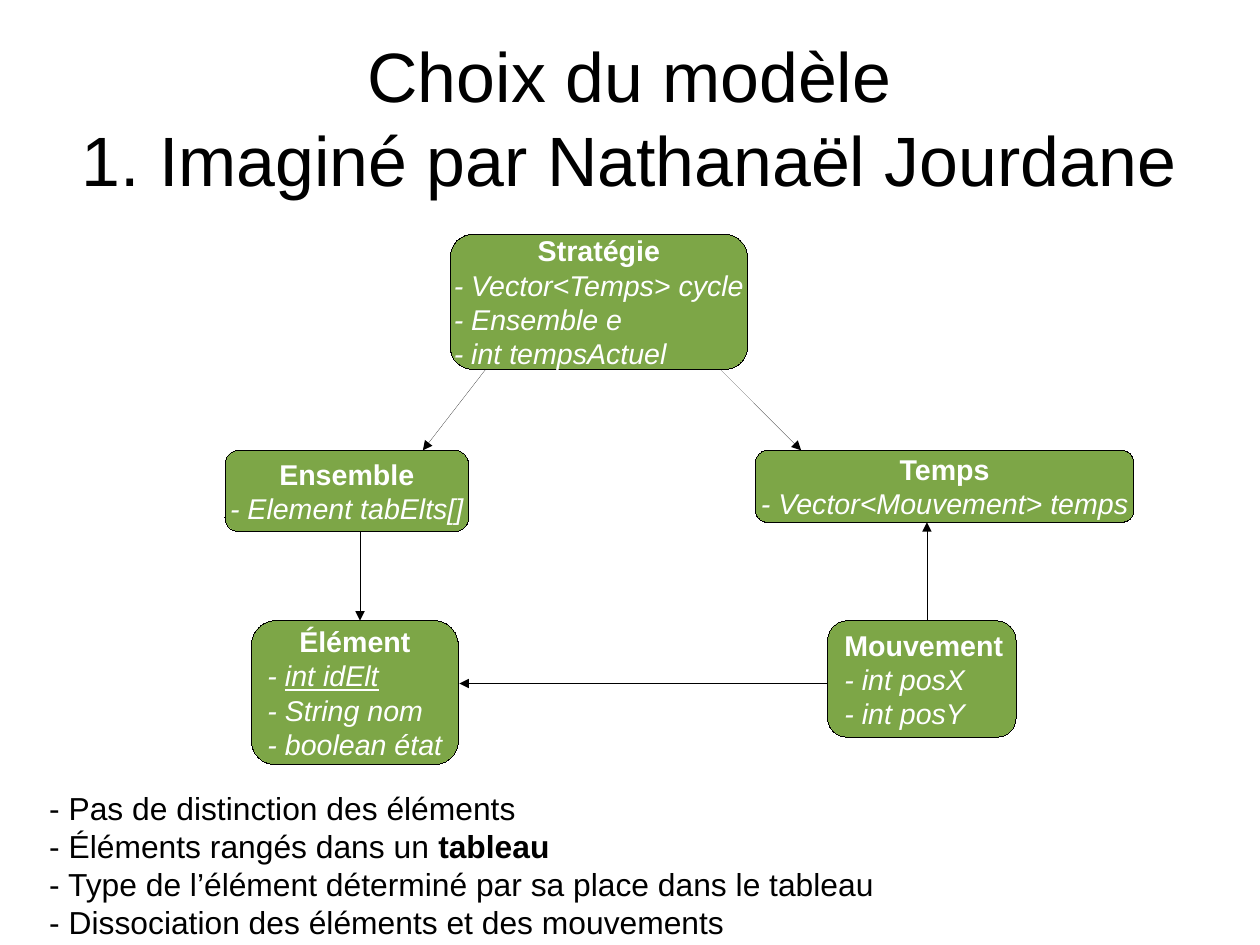
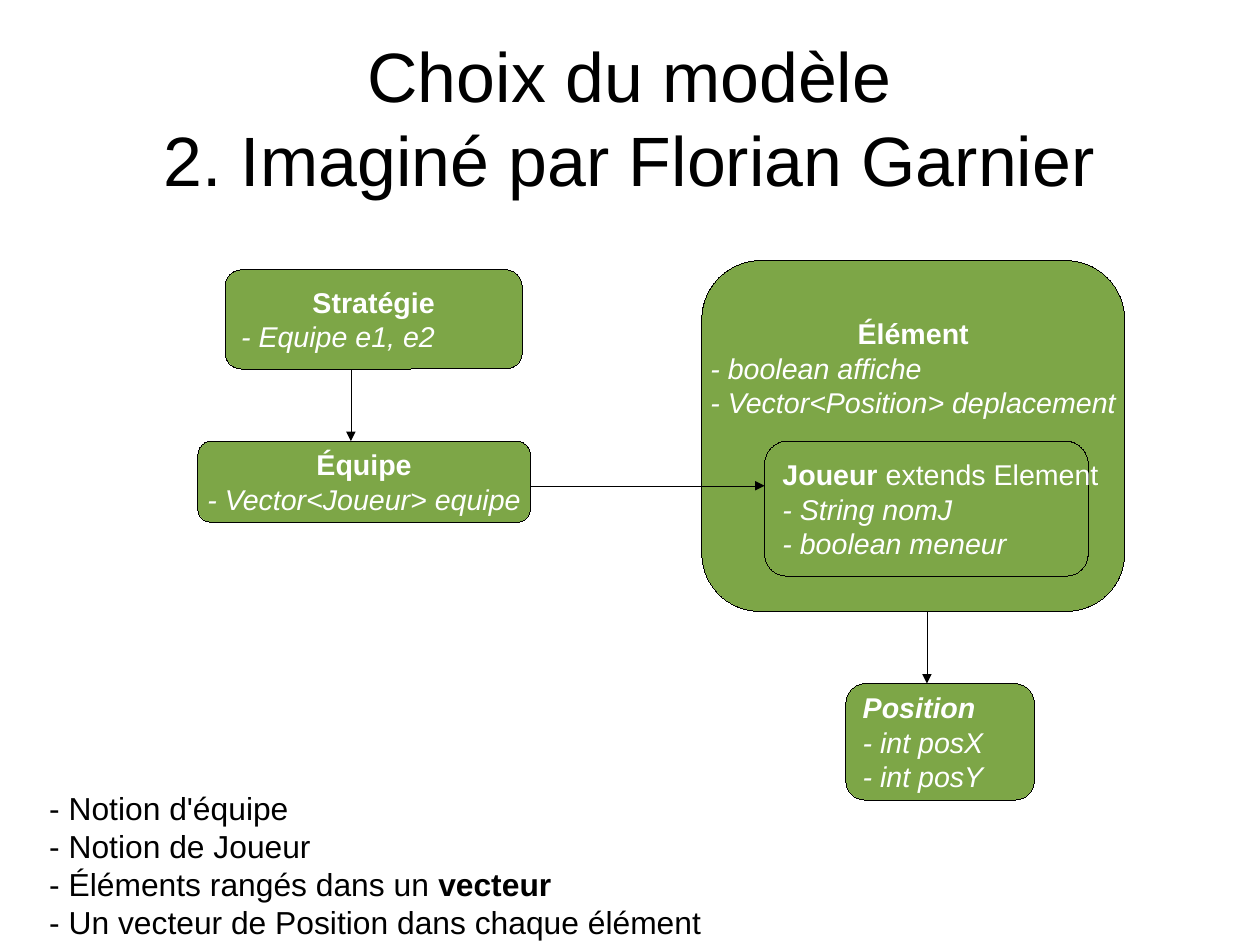
import pptx
import pptx.util
import pptx.dml.color
import pptx.enum.shapes
import pptx.enum.text
import pptx.oxml
import pptx.oxml.ns

Pt = pptx.util.Pt
ALIGN = pptx.enum.text.PP_ALIGN
ANCHOR = pptx.enum.text.MSO_ANCHOR
KIND = pptx.enum.shapes.MSO_SHAPE.ROUNDED_RECTANGLE
LINK = pptx.enum.shapes.MSO_CONNECTOR.STRAIGHT

# Shared look
COLORS = {"ink": "000000", "box": "7DA647", "light": "FFFFFF"}
HUES = {k: pptx.dml.color.RGBColor.from_string(v) for k, v in COLORS.items()}
FONT = "Arial"
TITLE = {"left": 39.6, "top": 23.8, "width": 714.2, "height": 99.4}
NOTES = {"left": 23.8, "top": 493.2, "height": 96.5}
FLAT = {"margin_left": 0, "margin_top": 0, "margin_right": 0,
        "margin_bottom": 0, "vertical_anchor": ANCHOR.MIDDLE,
        "word_wrap": True}
INSET = {"margin_left": Pt(7.2), "margin_top": Pt(3.6),
         "margin_right": Pt(7.2), "margin_bottom": Pt(3.6),
         "word_wrap": False, "auto_size": pptx.enum.text.MSO_AUTO_SIZE.NONE}

# Each line is a list of (text, style) runs: b bold, i italic,
# u underlined, c centred line.
# Each box: left, top, width, height, room kept free below the text, lines.
PAGES = [
    {
        "title": "Choix du modèle\v1. Imaginé par Nathanaël Jourdane",
        "boxes": [
            (158.4, 391, 130.3, 90.7, 0,
             [[("Élément", "bc")], [("- ", "i"), ("int idElt", "iu")],
              [("- String nom", "i")], [("- boolean état", "i")]]),
            (141.8, 283.7, 153.4, 51.1, 0,
             [[("Ensemble", "bc")], [("- Element tabElts[]", "i")]]),
            (521.3, 391, 118.8, 73.4, 0,
             [[("Mouvement", "b")], [("- int posX", "i")],
              [("- int posY", "i")]]),
            (283.7, 147.6, 187.2, 85, 0,
             [[("Stratégie", "bc")], [("- Vector<Temps> cycle", "i")],
              [("- Ensemble e", "i")], [("- int tempsActuel", "i")]]),
            (475.9, 283.7, 238.3, 45.4, 0,
             [[("Temps", "bc")], [("- Vector<Mouvement> temps", "ic")]]),
        ],
        "links": [
            (453.6, 232.6, 504.7, 283.7),
            (306, 232.6, 266.4, 283.7),
            (226.8, 334.8, 226.8, 391),
            (583.9, 391, 583.9, 329),
            (521.3, 430.6, 289.4, 430.6),
        ],
        "width": 545,
        "notes": [
            [("- Pas de distinction des éléments", "")],
            [("- Éléments rangés dans un ", ""), ("tableau", "b")],
            [("- Type de l’élément déterminé par sa place dans le tableau",
              "")],
            [("- Dissociation des éléments et des mouvements", "")],
        ],
    },
    {
        "title": "Choix du modèle\v2. Imaginé par Florian Garnier",
        "boxes": [
            (442.1, 164.2, 266.4, 221, 86,
             [[("Élément", "bc")], [("- boolean affiche", "i")],
              [("- Vector<Position> deplacement", "i")]]),
            (532.8, 430.6, 118.8, 73.4, 0,
             [[("Position", "bi")], [("- int posX", "i")],
              [("- int posY", "i")]]),
            (141.8, 169.9, 187.2, 62.6, 0,
             [[("Stratégie", "bc")], [("- Equipe e1, e2", "i")]]),
            (481.7, 277.9, 203.8, 85, 0,
             [[("Joueur", "b"), (" extends Element", "")],
              [("- String nomJ", "i")], [("- boolean meneur", "i")]]),
            (124.6, 277.9, 209.5, 51.1, 0,
             [[("Équipe", "bc")], [("- Vector<Joueur> equipe", "i")]]),
        ],
        "links": [
            (221, 232.6, 221, 277.9),
            (334.8, 306, 481.7, 306),
            (583.9, 385.2, 583.9, 430.6),
        ],
        "width": 430,
        "notes": [
            [("- Notion d'équipe", "")],
            [("- Notion de Joueur", "")],
            [("- Éléments rangés dans un ", ""), ("vecteur", "b")],
            [("- Un vecteur de Position dans chaque élément", "")],
        ],
    },
]


def apply(item, values):
    for key, value in values.items():
        setattr(item, key, value)


def write(frame, lines, size, hue):
    for row, runs in enumerate(lines):
        par = frame.add_paragraph() if row else frame.paragraphs[0]
        apply(par, {"space_before": Pt(0), "alignment":
                    ALIGN.CENTER if "c" in runs[0][1] else ALIGN.LEFT})
        for text, style in runs:
            run = par.add_run()
            run.text = text
            apply(run.font, {"name": FONT, "size": Pt(size),
                             "bold": "b" in style, "italic": "i" in style,
                             "underline": "u" in style})
            run.font.color.rgb = HUES[hue]


deck = pptx.Presentation()
apply(deck, {"slide_width": Pt(793.7), "slide_height": Pt(595.3)})

for page in PAGES:
    slide = deck.slides.add_slide(deck.slide_layouts[1])

    # Title
    title = slide.shapes.title
    apply(title, {k: Pt(v) for k, v in TITLE.items()})
    apply(title.text_frame, FLAT)
    title.text_frame.text = page["title"]
    par = title.text_frame.paragraphs[0]
    par.alignment = ALIGN.CENTER
    for run in par.runs:
        apply(run.font, {"name": FONT, "size": Pt(44)})
        run.font.color.rgb = HUES["ink"]

    # Remarks, without template bullets
    body = slide.placeholders[1]
    apply(body, {k: Pt(v) for k, v in NOTES.items()})
    body.width = Pt(page["width"])
    apply(body.text_frame, INSET)
    body.text_frame.vertical_anchor = ANCHOR.TOP
    write(body.text_frame, page["notes"], 20, "ink")
    for par in body.text_frame.paragraphs:
        props = par._p.get_or_add_pPr()
        props.set("marL", "0")
        props.set("indent", "0")
        props.append(pptx.oxml.parse_xml(
            "<a:buNone %s/>" % pptx.oxml.ns.nsdecls("a")))

    # Class boxes
    lined = []
    for left, top, width, height, room, lines in page["boxes"]:
        box = slide.shapes.add_shape(
            KIND, Pt(left), Pt(top), Pt(width), Pt(height))
        box.shadow.inherit = False
        box.fill.solid()
        box.fill.fore_color.rgb = HUES["box"]
        apply(box.text_frame, INSET)
        apply(box.text_frame, {"vertical_anchor": ANCHOR.MIDDLE,
                               "margin_bottom": Pt(3.6 + room)})
        write(box.text_frame, lines, 18, "light")
        lined.append(box)

    # Arrows
    for ends in page["links"]:
        link = slide.shapes.add_connector(LINK, *map(Pt, ends))
        link.line.color.rgb = HUES["ink"]
        link.line._get_or_add_ln().append(pptx.oxml.parse_xml(
            '<a:tailEnd type="triangle" %s/>' % pptx.oxml.ns.nsdecls("a")))
        link._element.spPr.append(pptx.oxml.parse_xml(
            "<a:effectLst %s/>" % pptx.oxml.ns.nsdecls("a")))
        lined.append(link)

    # Hairlines: a zero width must be written out to override the theme
    for item in lined:
        item.line.color.rgb = HUES["ink"]
        item.line._get_or_add_ln().set("w", "0")

deck.save("out.pptx")
